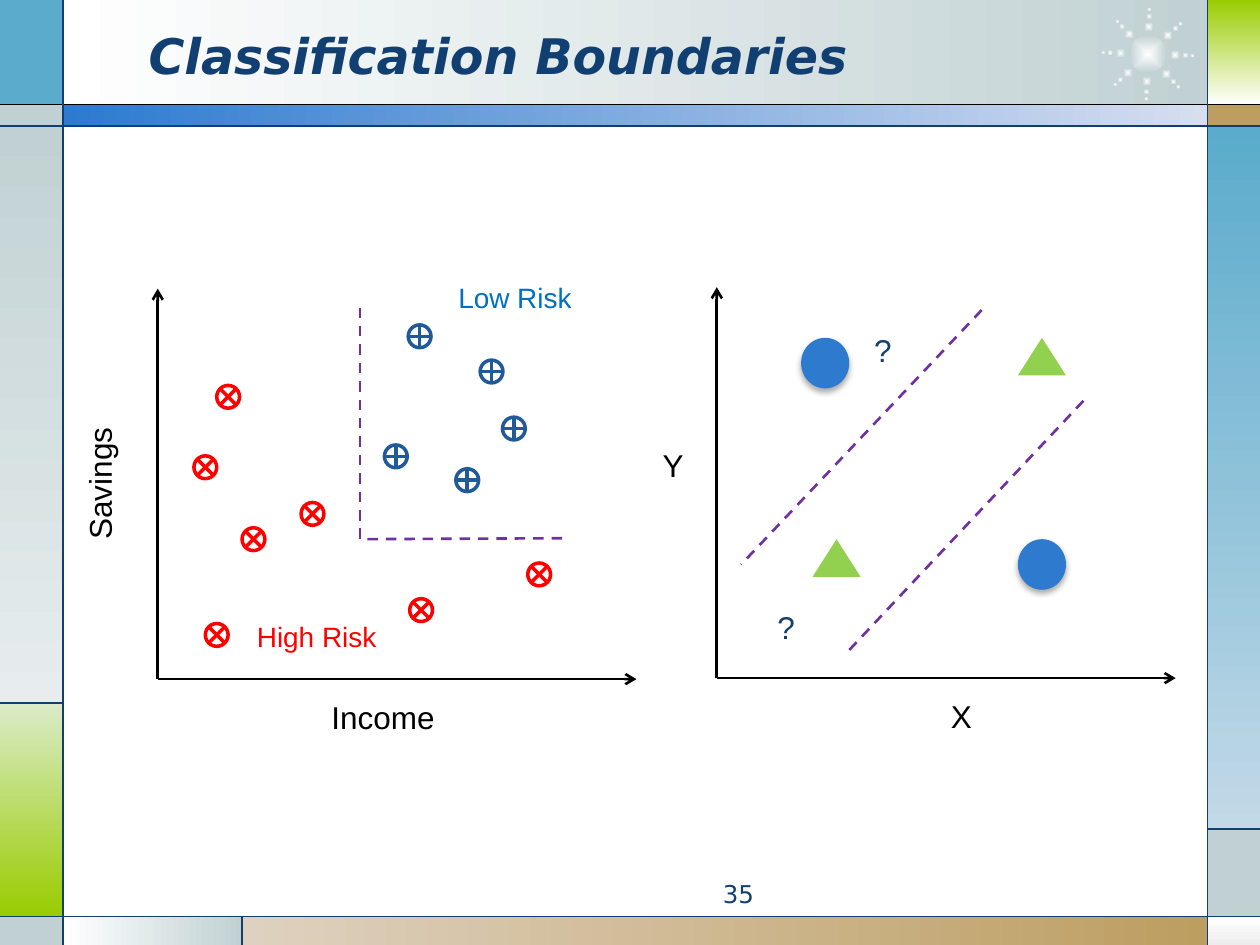
from dataclasses import dataclass
from math import cos, radians, sin

from lxml.etree import SubElement
from pptx import Presentation
from pptx.dml.color import RGBColor
from pptx.enum.dml import MSO_LINE
from pptx.enum.shapes import MSO_CONNECTOR, MSO_SHAPE
from pptx.enum.text import MSO_ANCHOR, MSO_AUTO_SIZE, PP_ALIGN
from pptx.oxml.ns import qn
from pptx.util import Cm, Pt


@dataclass(frozen=True)
class Theme:
    navy: str = "113F71"
    blue: str = "2D7ACF"
    pale_blue: str = "D7DEF0"
    sky: str = "5AABCC"
    pale_sky: str = "C2D9E7"
    gray: str = "C1D1D3"
    pale_gray: str = "E7EDEE"
    silver: str = "EDEDED"
    lime: str = "99CC00"
    pale_lime: str = "DBEBC9"
    tan: str = "BD9E61"
    pale_tan: str = "DED1BF"
    green: str = "92D050"
    purple: str = "7030A0"
    low_risk: str = "215A99"
    low_label: str = "0070C0"
    high_risk: str = "FF0000"
    black: str = "000000"
    white: str = "FFFFFF"
    heading_font: str = "DejaVu Sans"
    label_font: str = "Arial"
    title_size: int = 28
    axis_size: int = 18
    risk_size: int = 16
    number_size: int = 14


theme = Theme()


def add_block(kind, left, top, width, height, colors=(), angle=0, outline=None):
    """Add a shape with no fill, one colour, or two colours as a gradient."""
    block = slide.shapes.add_shape(kind, Cm(left), Cm(top), Cm(width), Cm(height))
    block.shadow.inherit = False
    if len(colors) == 2:
        block.fill.gradient()
        block.fill.gradient_angle = angle
        for stop, color in zip(block.fill.gradient_stops, colors):
            stop.color.rgb = RGBColor.from_string(color)
    elif colors:
        block.fill.solid()
        block.fill.fore_color.rgb = RGBColor.from_string(colors[0])
    else:
        block.fill.background()
    if outline:
        block.line.color.rgb = RGBColor.from_string(outline)
        block.line.width = Pt(2)
    else:
        block.line.fill.background()
    return block


def add_rule(x1, y1, x2, y2, color, width=1.5, dashed=False, arrow=False):
    """Add a straight line, optionally dashed or with an arrowhead at its end."""
    rule = slide.shapes.add_connector(
        MSO_CONNECTOR.STRAIGHT, Cm(x1), Cm(y1), Cm(x2), Cm(y2))
    rule.line.color.rgb = RGBColor.from_string(color)
    rule.line.width = Pt(width)
    if dashed:
        rule.line.dash_style = MSO_LINE.DASH
    if arrow:
        SubElement(rule.line._get_or_add_ln(), qn("a:tailEnd"), type="arrow")
    SubElement(rule._element.spPr, qn("a:effectLst"))


prs = Presentation()
prs.slide_width, prs.slide_height = Cm(25.4), Cm(19.05)
slide = prs.slides.add_slide(prs.slide_layouts[5])

# Frame bands: left, top, right, bottom, colours, gradient angle
right, bottom = 25.4, 19.05
inner_left, inner_right = 1.27, 24.34
header, body, floor = 2.11, 2.54, 18.47
left_split, right_split, floor_split = 14.17, 16.71, 4.88
down = 270
bands = [
    (inner_left, 0, inner_right, header, (theme.white, theme.gray), 0),
    (0, 0, inner_left, header, (theme.sky,), 0),
    (0, header, inner_left, body, (theme.gray,), 0),
    (0, body, inner_left, left_split, (theme.gray, theme.pale_gray), down),
    (0, left_split, inner_left, floor, (theme.pale_lime, theme.lime), down),
    (0, floor, inner_left, bottom, (theme.gray,), 0),
    (inner_left, floor, floor_split, bottom, (theme.white, theme.gray), 0),
    (floor_split, floor, inner_right, bottom, (theme.pale_tan, theme.tan), 0),
    (inner_right, floor, right, bottom, (theme.white, theme.silver), down),
    (inner_right, right_split, right, floor, (theme.gray,), 0),
    (inner_right, body, right, right_split, (theme.sky, theme.pale_sky), down),
    (inner_right, header, right, body, (theme.tan,), 0),
    (inner_right, 0, right, header, (theme.lime, theme.white), down),
    (inner_left, header, inner_right, body, (theme.blue, theme.pale_blue), 0),
]
for x1, y1, x2, y2, colors, angle in bands:
    add_block(MSO_SHAPE.RECTANGLE, x1, y1, x2 - x1, y2 - y1, colors, angle)

# Starburst: a core and eight arms of three shrinking dots
burst_x, burst_y = 23.14, 1.09
dots = [(burst_x, burst_y, 0.76)]
for arm in range(8):
    turn = radians(45 * arm + 2)
    for radius, size in ((0.55, 0.19), (0.76, 0.12), (0.9, 0.09)):
        dots.append((burst_x + radius * cos(turn), burst_y + radius * sin(turn), size))
for x, y, size in dots:
    dot = add_block(MSO_SHAPE.OVAL, x - size / 2, y - size / 2, size, size,
                    (theme.white, theme.gray))
    gradient = dot._element.spPr.find(qn("a:gradFill"))
    gradient.remove(gradient.find(qn("a:lin")))
    radial = SubElement(gradient, qn("a:path"), {"path": "shape"})
    SubElement(radial, qn("a:fillToRect"), l="50000", t="50000", r="50000", b="50000")

# Frame lines
add_rule(0, header, right, header, theme.black, 0.75)
for line_ends in [
    (0, body, right, body),
    (0, floor, right, floor),
    (inner_left, 0, inner_left, bottom),
    (inner_right, 0, inner_right, bottom),
    (0, left_split, inner_left, left_split),
    (floor_split, floor, floor_split, bottom),
    (inner_right, right_split, right, right_split),
]:
    add_rule(*line_ends, theme.navy, 0.75)

# Title, brought in front of the frame
title = slide.shapes.title
title._element.getparent().append(title._element)
title.left, title.top, title.width, title.height = Cm(2.74), Cm(0.33), Cm(18.62), Cm(1.57)
title.text_frame.text = "Classification Boundaries"
title.text_frame.auto_size = MSO_AUTO_SIZE.NONE
title.text_frame.vertical_anchor = MSO_ANCHOR.MIDDLE
heading = title.text_frame.paragraphs[0]
heading.alignment = PP_ALIGN.LEFT
heading.font.name = theme.heading_font
heading.font.size = Pt(theme.title_size)
heading.font.bold = heading.font.italic = True
heading.font.color.rgb = RGBColor.from_string(theme.navy)

# Axes of both plots: origin, end of x axis, end of y axis
for x, y, x_end, y_end in [(14.45, 13.67, 23.7, 5.79), (3.18, 13.69, 12.83, 5.82)]:
    add_rule(x, y, x_end, y, theme.black, arrow=True)
    add_rule(x, y, x, y_end, theme.black, arrow=True)

# Right plot: two classes on opposite corners
for x, y in [(16.15, 6.81), (20.52, 10.87)]:
    circle = add_block(MSO_SHAPE.OVAL, x, y, 0.97, 1.02, (theme.blue,))
    shadow = SubElement(circle._element.spPr.find(qn("a:effectLst")), qn("a:outerShdw"),
                        blurRad=str(Pt(3.5)), dist=str(Pt(2.2)), dir="5400000",
                        rotWithShape="0")
    shade = SubElement(shadow, qn("a:srgbClr"), val=theme.black)
    SubElement(shade, qn("a:alpha"), val="32000")
for x, y in [(16.38, 10.87), (20.52, 6.81)]:
    add_block(MSO_SHAPE.ISOSCELES_TRIANGLE, x, y, 0.97, 0.76, (theme.green,))

# Left plot: customers by risk
low_points = [(8.23, 6.55), (10.13, 8.41), (9.19, 9.45), (9.68, 7.26), (7.75, 8.97)]
high_points = [(4.37, 7.77), (3.91, 9.19), (4.88, 10.64), (4.14, 12.57),
               (8.26, 12.07), (10.64, 11.35), (6.07, 10.13)]
for kind, points, color in [
    (MSO_SHAPE.FLOWCHART_OR, low_points, theme.low_risk),
    (MSO_SHAPE.FLOWCHART_SUMMING_JUNCTION, high_points, theme.high_risk),
]:
    for x, y in points:
        add_block(kind, x, y, 0.46, 0.46, outline=color)

# Decision boundaries of both plots
for boundary in [
    (19.79, 6.25, 14.94, 11.38), (21.84, 8.08, 17.02, 13.21),
    (7.26, 6.2, 7.26, 10.92), (11.33, 10.85, 7.29, 10.87),
]:
    add_rule(*boundary, theme.purple, dashed=True)

# Labels: text, left, top, width, height, size, colour
for text, x, y, width, height, size, color in [
    ("?", 15.42, 12.14, 1.22, 1.27, theme.axis_size, theme.navy),
    ("?", 17.37, 6.55, 1.22, 1.27, theme.axis_size, theme.navy),
    ("X", 18.92, 13.92, 1.09, 1.22, theme.axis_size, theme.black),
    ("Y", 13.11, 8.86, 1.09, 1.22, theme.axis_size, theme.black),
    ("Income", 6.43, 13.94, 3.15, 1.22, theme.axis_size, theme.black),
    ("Savings", 0.43, 8.84, 3.35, 1.22, theme.axis_size, theme.black),
    ("Low Risk", 8.99, 5.54, 3.38, 1.12, theme.risk_size, theme.low_label),
    ("High Risk", 4.93, 12.37, 3.53, 1.12, theme.risk_size, theme.high_risk),
    ("35", 9.53, 17.6, 5.92, 0.69, theme.number_size, theme.navy),
]:
    label = slide.shapes.add_textbox(Cm(x), Cm(y), Cm(width), Cm(height))
    label.rotation = 270 if text == "Savings" else 0
    label.text_frame.word_wrap = True
    label.text_frame.text = text
    line = label.text_frame.paragraphs[0]
    is_number = text == "35"
    line.alignment = PP_ALIGN.RIGHT if is_number else PP_ALIGN.LEFT
    line.font.name = theme.heading_font if is_number else theme.label_font
    line.font.size = Pt(size)
    line.font.color.rgb = RGBColor.from_string(color)

prs.save("out.pptx")
